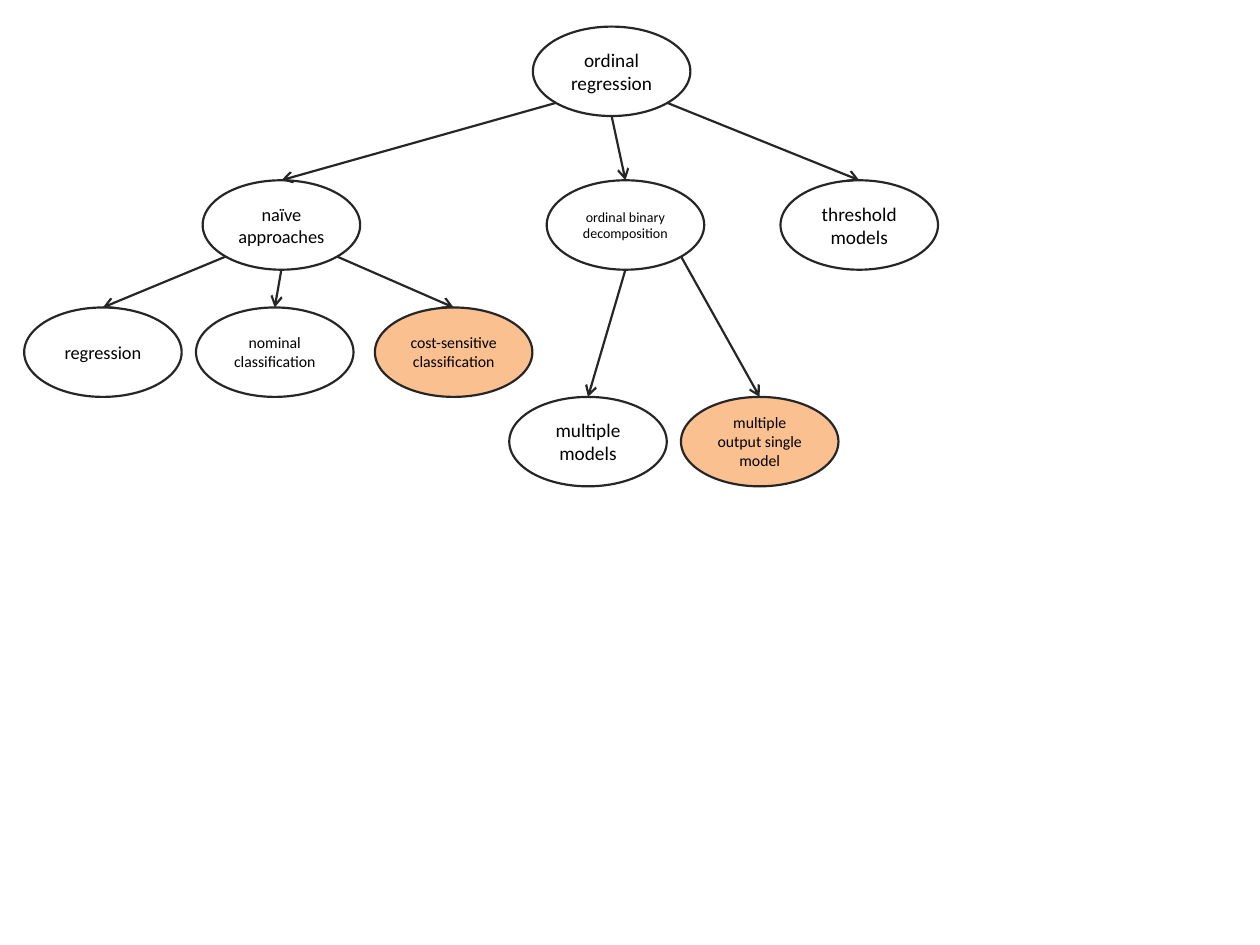
import math
from dataclasses import dataclass

import lxml.etree
import pptx
import pptx.dml.color
import pptx.enum.shapes
import pptx.enum.text
import pptx.oxml.ns
import pptx.util

Pt = pptx.util.Pt
COLORS = {"plain": "FFFFFF", "highlight": "FAC090", "outline": "262626", "text": "000000"}
NODE_WIDTH, NODE_HEIGHT = 90, 51.1
LINE_WIDTH = 1.25
ROWS = {"root": 15.2, "family": 103, "naive": 175.7, "binary": 226.8}


@dataclass(frozen=True)
class Node:
    label: str
    left: float
    row: str
    size: float
    fill: str = "plain"

    @property
    def top(self) -> float:
        return ROWS[self.row]

    def rim(self, angle: float) -> tuple[float, float]:
        turn = math.radians(angle)
        return (
            self.left + NODE_WIDTH / 2 * (1 + math.cos(turn)),
            self.top + NODE_HEIGHT / 2 * (1 + math.sin(turn)),
        )


@dataclass(frozen=True)
class Branch:
    parent: str
    child: str
    angle: float


NODES = {
    "root": Node("ordinal\nregression", 304.5, "root", 11),
    "naive": Node("naïve approaches", 115.8, "family", 10.5),
    "binary": Node("ordinal binary decomposition", 312.4, "family", 8),
    "threshold": Node("threshold models", 446, "family", 11),
    "regression": Node("regression", 13.8, "naive", 10.5),
    "nominal": Node("nominal classification", 112, "naive", 9),
    "cost": Node("cost-sensitive classification", 214.2, "naive", 9, "highlight"),
    "multiple": Node("multiple models", 291, "binary", 11),
    "single": Node("multiple output single model", 389.1, "binary", 9, "highlight"),
}
LEFT, MIDDLE, RIGHT = 135, 90, 45
BRANCHES = [
    Branch("root", "naive", LEFT),
    Branch("root", "binary", MIDDLE),
    Branch("root", "threshold", RIGHT),
    Branch("naive", "regression", LEFT),
    Branch("naive", "nominal", MIDDLE),
    Branch("naive", "cost", RIGHT),
    Branch("binary", "multiple", MIDDLE),
    Branch("binary", "single", RIGHT),
]


def color(name: str) -> pptx.dml.color.RGBColor:
    return pptx.dml.color.RGBColor.from_string(COLORS[name])


def apply(target, values: dict) -> None:
    for name, value in values.items():
        setattr(target, name, value)


def style_line(line) -> None:
    line.color.rgb = color("outline")
    line.width = Pt(LINE_WIDTH)


def draw_node(page, node: Node) -> None:
    box = page.shapes.add_shape(
        pptx.enum.shapes.MSO_SHAPE.OVAL,
        Pt(node.left), Pt(node.top), Pt(NODE_WIDTH), Pt(NODE_HEIGHT),
    )
    box.shadow.inherit = False
    box.fill.solid()
    box.fill.fore_color.rgb = color(node.fill)
    style_line(box.line)
    frame = box.text_frame
    apply(frame, {
        "text": node.label,
        "word_wrap": True,
        "vertical_anchor": pptx.enum.text.MSO_ANCHOR.MIDDLE,
    })
    for para in frame.paragraphs:
        para.alignment = pptx.enum.text.PP_ALIGN.CENTER
        for span in para.runs:
            apply(span.font, {"name": "Calibri", "size": Pt(node.size)})
            span.font.color.rgb = color("text")


def draw_branch(page, branch: Branch) -> None:
    start = NODES[branch.parent].rim(branch.angle)
    end = NODES[branch.child].rim(-90)
    arrow = page.shapes.add_connector(
        pptx.enum.shapes.MSO_CONNECTOR.STRAIGHT,
        *(Pt(length) for length in start + end),
    )
    style_line(arrow.line)
    qualified = pptx.oxml.ns.qn
    properties = arrow.element.spPr
    outline = properties.find(qualified("a:ln"))
    lxml.etree.SubElement(outline, qualified("a:tailEnd"), type="arrow")
    lxml.etree.SubElement(properties, qualified("a:effectLst"))


deck = pptx.Presentation()
apply(deck, {"slide_width": Pt(720), "slide_height": Pt(540)})
page = deck.slides.add_slide(deck.slide_layouts[6])
for node in NODES.values():
    draw_node(page, node)
for branch in BRANCHES:
    draw_branch(page, branch)
deck.save("out.pptx")
